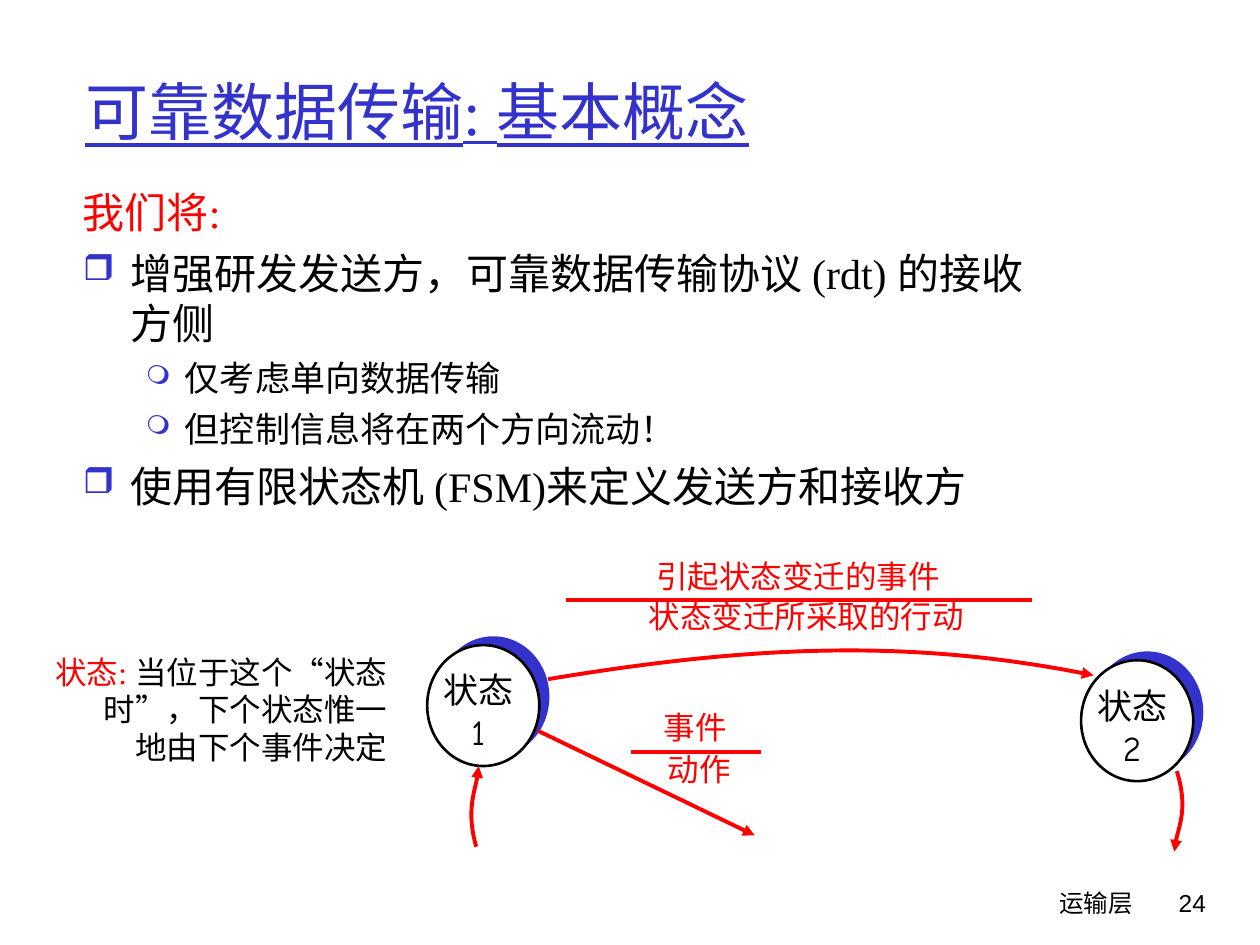
from lxml import etree
from pptx import Presentation
from pptx.dml.color import RGBColor
from pptx.enum.shapes import MSO_CONNECTOR, MSO_SHAPE
from pptx.enum.text import MSO_ANCHOR, PP_ALIGN
from pptx.oxml.ns import qn
from pptx.util import Inches, Pt

LEFT, CENTER, RIGHT = PP_ALIGN.LEFT, PP_ALIGN.CENTER, PP_ALIGN.RIGHT
MIDDLE = MSO_ANCHOR.MIDDLE
OVAL, STRAIGHT = MSO_SHAPE.OVAL, MSO_CONNECTOR.STRAIGHT
BLUE, RED, BLACK, WHITE = "3333CC", "FF0000", "000000", "FFFFFF"
SERIF, COMIC, SANS = "Times New Roman", "Comic Neue", "Arial"
color = RGBColor.from_string


def add_text(shapes, place, paragraphs, size, align=LEFT, wrap=True):
    """Add a text box; each paragraph is a list of (text, font, colour) runs."""
    box = shapes.add_textbox(*[Inches(value) for value in place])
    frame = box.text_frame
    frame.word_wrap = wrap
    for index, runs in enumerate(paragraphs):
        para = frame.paragraphs[0] if index == 0 else frame.add_paragraph()
        para.alignment = align
        for text, font, ink in runs:
            span = para.add_run()
            span.text = text
            span.font.name = font
            span.font.size = Pt(size)
            span.font.color.rgb = color(ink)
    return frame


def style_line(line_shape, arrow):
    """Make a line or curve red and shadowless, with an optional arrowhead."""
    line_shape.line.color.rgb = color(RED)
    line_shape.line.width = Pt(2.25)
    properties = line_shape._element.spPr
    if arrow:
        etree.SubElement(properties.find(qn("a:ln")), qn("a:tailEnd"), type="triangle")
    etree.SubElement(properties, qn("a:effectLst"))


deck = Presentation()
deck.slide_width, deck.slide_height = Inches(10), Inches(7.5)
page = deck.slides.add_slide(deck.slide_layouts[6])
shapes = page.shapes

# Footer and title
add_text(shapes, (5.92, 7, 3.17, 0.5), [[("运输层", COMIC, BLACK)]], 14, RIGHT)
add_text(shapes, (8.93, 7, 0.74, 0.5), [[("24", SANS, BLACK)]], 14, RIGHT)
title = add_text(shapes, (0.58, 0.25, 8.5, 1.25),
                 [[("可靠数据传输: 基本概念", SERIF, BLUE)]], 36)
title.vertical_anchor = MIDDLE
title.paragraphs[0].runs[0].font.underline = True

# Outline: text, level (None for the heading)
outline = [
    ("我们将:", None),
    ("增强研发发送方，可靠数据传输协议 (rdt) 的接收方侧", 0),
    ("仅考虑单向数据传输", 1),
    ("但控制信息将在两个方向流动！", 1),
    ("使用有限状态机 (FSM)来定义发送方和接收方", 0),
]
# Level: bullet, bullet percent, left margin, hanging indent, space before, size
levels = [("❒", 85, 0.38, 0.38, 6, 24), ("❍", 75, 0.81, 0.31, 5, 20)]
body = add_text(shapes, (0.56, 1.43, 7.94, 3.67),
                [[(text, SERIF, RED if level is None else BLACK)] for text, level in outline], 24)
for para, (text, level) in zip(body.paragraphs, outline):
    bullet, percent, margin, hanging, space, size = levels[level or 0]
    properties = para._p.get_or_add_pPr()
    properties.set("marL", str(Inches(margin)))
    properties.set("indent", str(-Inches(hanging)))
    if level is None:
        continue
    para.level = level
    para.space_before = Pt(space)
    para.runs[0].font.size = Pt(size)
    bullet_color = etree.SubElement(properties, qn("a:buClr"))
    etree.SubElement(bullet_color, qn("a:srgbClr"), val=BLUE)
    etree.SubElement(properties, qn("a:buSzPct"), val=str(percent * 1000))
    etree.SubElement(properties, qn("a:buChar"), char=bullet)

# States: a white disc over an offset blue one
for number, left, top in [("1", 3.39, 5.12), ("2", 8.58, 5.24)]:
    state = shapes.add_group_shape().shapes
    for x, y, fill in [(left + 0.08, top - 0.07, BLUE), (left, top, WHITE)]:
        disc = state.add_shape(OVAL, Inches(x), Inches(y), Inches(0.89), Inches(0.96))
        disc.shadow.inherit = False
        disc.fill.solid()
        disc.fill.fore_color.rgb = color(fill)
        if fill == BLUE:
            disc.line.fill.background()
        else:
            disc.line.color.rgb = color(BLACK)
            disc.line.width = Pt(1.5)
    add_text(state, (left - 0.04, top + 0.14, 0.89, 0.77),
             [[("状态", COMIC, BLACK)], [(number, COMIC, BLACK)]], 20, CENTER, False)

# Curved transitions: start, two control points, end
curves = [
    [(4.35, 5.39), (5.97, 5.12), (7.26, 5.07), (8.68, 5.36)],
    [(3.78, 6.72), (3.7, 6.44), (3.8, 6.18), (3.8, 6.08)],
    [(9.34, 6.12), (9.43, 6.41), (9.32, 6.66), (9.32, 6.76)],
]
for curve in curves:
    start, *others = [(Inches(x), Inches(y)) for x, y in curve]
    builder = shapes.build_freeform(*start)
    builder.add_line_segments(others, close=False)
    arc = builder.convert_to_shape()
    arc.fill.background()
    style_line(arc, True)
    # Merge the three segments into one cubic Bézier
    segments = list(arc._element.iter(qn("a:lnTo")))
    bezier = etree.Element(qn("a:cubicBezTo"))
    segments[0].addprevious(bezier)
    for segment in segments:
        bezier.append(segment[0])
        segment.getparent().remove(segment)

# Straight transition out of state 1
transition = shapes.add_connector(STRAIGHT, Inches(4.27), Inches(5.8), Inches(5.99), Inches(6.63))
style_line(transition, True)

# Event over action, parted by a rule: captions, then rule left, right and height
labels = [
    ([("引起状态变迁的事件", 5.11, 4.37, 2.45), ("状态变迁所采取的行动", 5.05, 4.69, 2.7)], 4.49, 8.19, 4.76),
    ([("事件", 5.17, 5.57, 0.7), ("动作", 5.2, 5.9, 0.7)], 5.01, 6.04, 5.97),
]
for captions, left, right, height in labels:
    label = shapes.add_group_shape().shapes
    for text, x, y, width in captions:
        add_text(label, (x, y, width, 0.4), [[(text, COMIC, RED)]], 18, CENTER, False)
    rule = label.add_connector(STRAIGHT, Inches(left), Inches(height), Inches(right), Inches(height))
    style_line(rule, False)

# Definition of a state
definition = add_text(shapes, (0.14, 5.13, 3.03, 1.35), [[
    ("状态: ", SERIF, RED),
    ("当位于这个", SERIF, BLACK),
    ("“", COMIC, BLACK),
    ("状态时", SERIF, BLACK),
    ("”", COMIC, BLACK),
    ("，下个状态惟一地由下个事件决定", SERIF, BLACK),
]], 18, RIGHT)
properties = definition.paragraphs[0]._p.get_or_add_pPr()
properties.set("marL", str(Inches(0.38)))
properties.set("indent", str(-Inches(0.38)))

deck.save("out.pptx")
